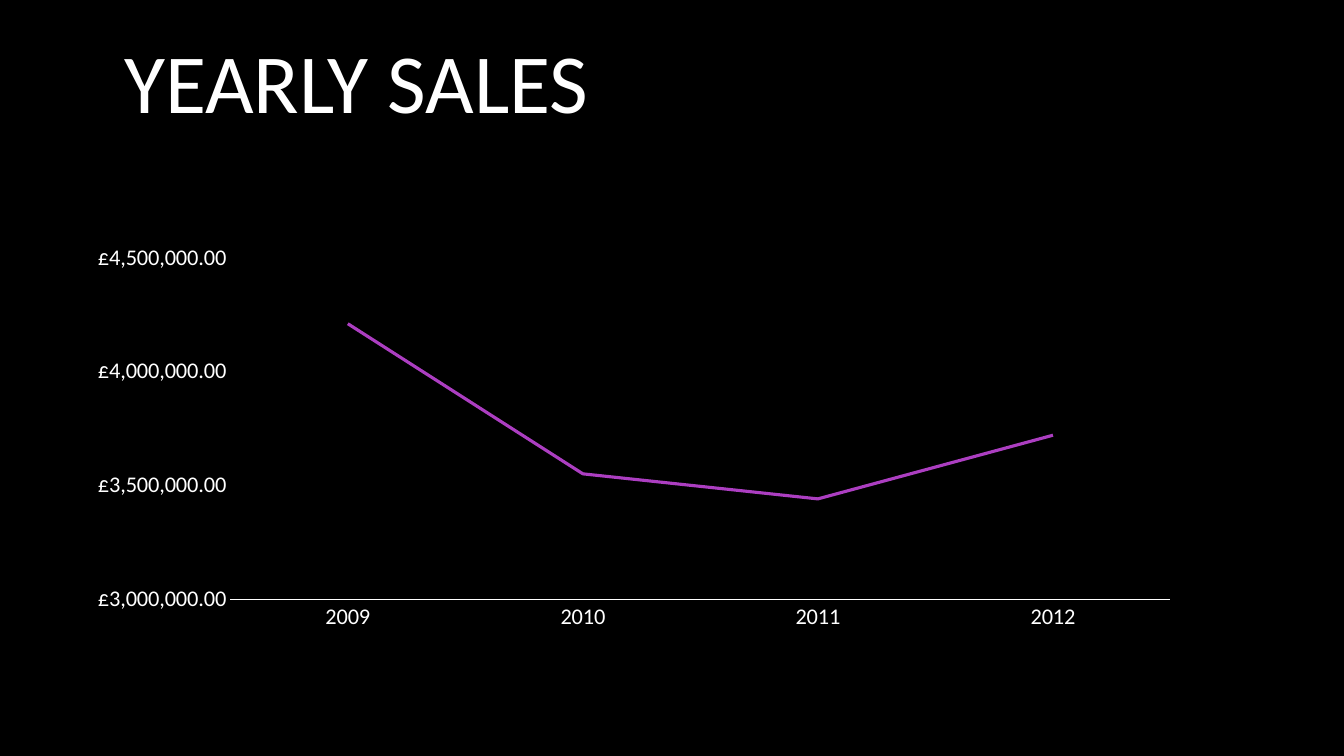
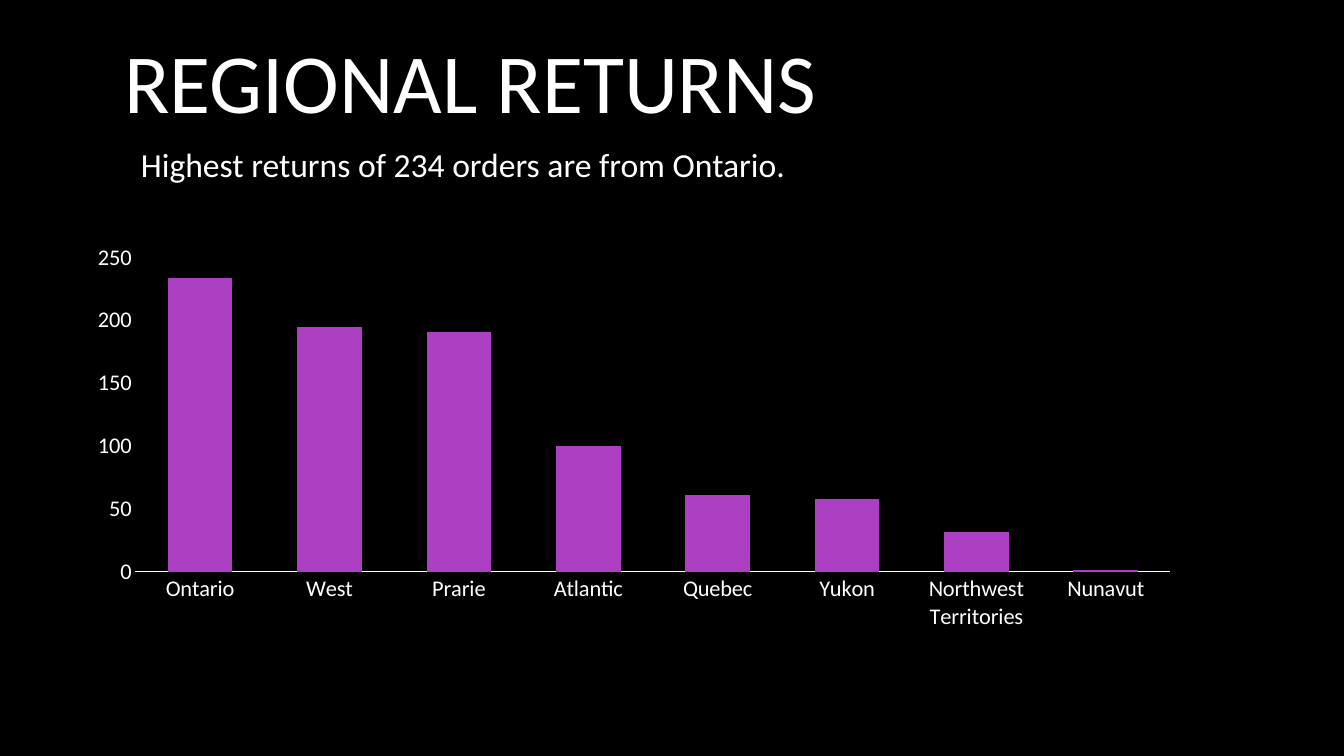
from pptx import Presentation
from pptx.chart.data import CategoryChartData
from pptx.dml.color import RGBColor
from pptx.enum.chart import XL_CHART_TYPE, XL_TICK_MARK
from pptx.enum.text import MSO_ANCHOR
from pptx.util import Inches, Pt

COLORS = {"background": "000000", "text": "FFFFFF", "accent": "AC3EC1"}
FONT = "Calibri"
COLS, ROWS = 160, 90
WIDTH, HEIGHT = Inches(13.33), Inches(7.5)

TITLE_BOX = (13.6, 0, 133, 19.1)
SUBTITLE_BOX = (15.6, 16.6, 128.8, 6)
CHART_BOX = (9, 28.1, 133, 47.9)


def color(name):
    return RGBColor.from_string(COLORS[name])


def place(box):
    left, top, width, height = box
    return (round(left * WIDTH / COLS), round(top * HEIGHT / ROWS),
            round(width * WIDTH / COLS), round(height * HEIGHT / ROWS))


def style_font(font, size):
    font.name = FONT
    font.size = Pt(size)
    font.color.rgb = color("text")


def add_text(slide, box, text, size, anchor=MSO_ANCHOR.TOP):
    tf = slide.shapes.add_textbox(*place(box)).text_frame
    tf.word_wrap = True
    tf.vertical_anchor = anchor
    tf.text = text
    style_font(tf.paragraphs[0].runs[0].font, size)


def style_axis(axis):
    axis.has_major_gridlines = False
    axis.major_tick_mark = XL_TICK_MARK.NONE
    axis.minor_tick_mark = XL_TICK_MARK.NONE
    style_font(axis.tick_labels.font, 16)


def add_chart(slide, box, kind, values):
    data = CategoryChartData()
    data.categories = list(values)
    data.add_series("Series 1", list(values.values()))
    chart = slide.shapes.add_chart(kind, *place(box), data).chart
    chart.has_legend = False
    chart.has_title = False
    style_font(chart.font, 10)
    chart.plots[0].vary_by_categories = False
    for axis in (chart.category_axis, chart.value_axis):
        style_axis(axis)
    line = chart.category_axis.format.line
    line.color.rgb = color("text")
    line.width = Pt(0.75)
    chart.value_axis.format.line.fill.background()
    return chart


def add_titled_slide(prs, title):
    slide = prs.slides.add_slide(prs.slide_layouts[6])
    add_text(slide, TITLE_BOX, title, 60, MSO_ANCHOR.MIDDLE)
    return slide


def add_sales_slide(prs):
    slide = add_titled_slide(prs, "YEARLY SALES")
    sales = {"2009": 4210000, "2010": 3550000, "2011": 3440000, "2012": 3720000}
    chart = add_chart(slide, CHART_BOX, XL_CHART_TYPE.LINE, sales)
    axis = chart.value_axis
    axis.minimum_scale = 3000000
    axis.maximum_scale = 4500000
    axis.major_unit = 500000
    axis.tick_labels.number_format = '"£"#,##0.00'
    axis.tick_labels.number_format_is_linked = False
    series = chart.plots[0].series[0]
    series.smooth = False
    series.format.line.color.rgb = color("accent")
    series.format.line.width = Pt(2.25)


def add_returns_slide(prs):
    slide = add_titled_slide(prs, "REGIONAL RETURNS")
    returns = {"Ontario": 234, "West": 195, "Prarie": 191, "Atlantic": 100,
               "Quebec": 61, "Yukon": 58, "Northwest Territories": 32, "Nunavut": 1}
    chart = add_chart(slide, CHART_BOX, XL_CHART_TYPE.COLUMN_CLUSTERED, returns)
    plot = chart.plots[0]
    plot.gap_width = 100
    plot.overlap = -27
    fill = plot.series[0].format.fill
    fill.solid()
    fill.fore_color.rgb = color("accent")
    add_text(slide, SUBTITLE_BOX, "Highest returns of 234 orders are from Ontario.", 24)


def main():
    prs = Presentation()
    prs.slide_width, prs.slide_height = WIDTH, HEIGHT
    fill = prs.slide_master.background.fill
    fill.solid()
    fill.fore_color.rgb = color("background")
    add_sales_slide(prs)
    add_returns_slide(prs)
    prs.save("out.pptx")


if __name__ == "__main__":
    main()
